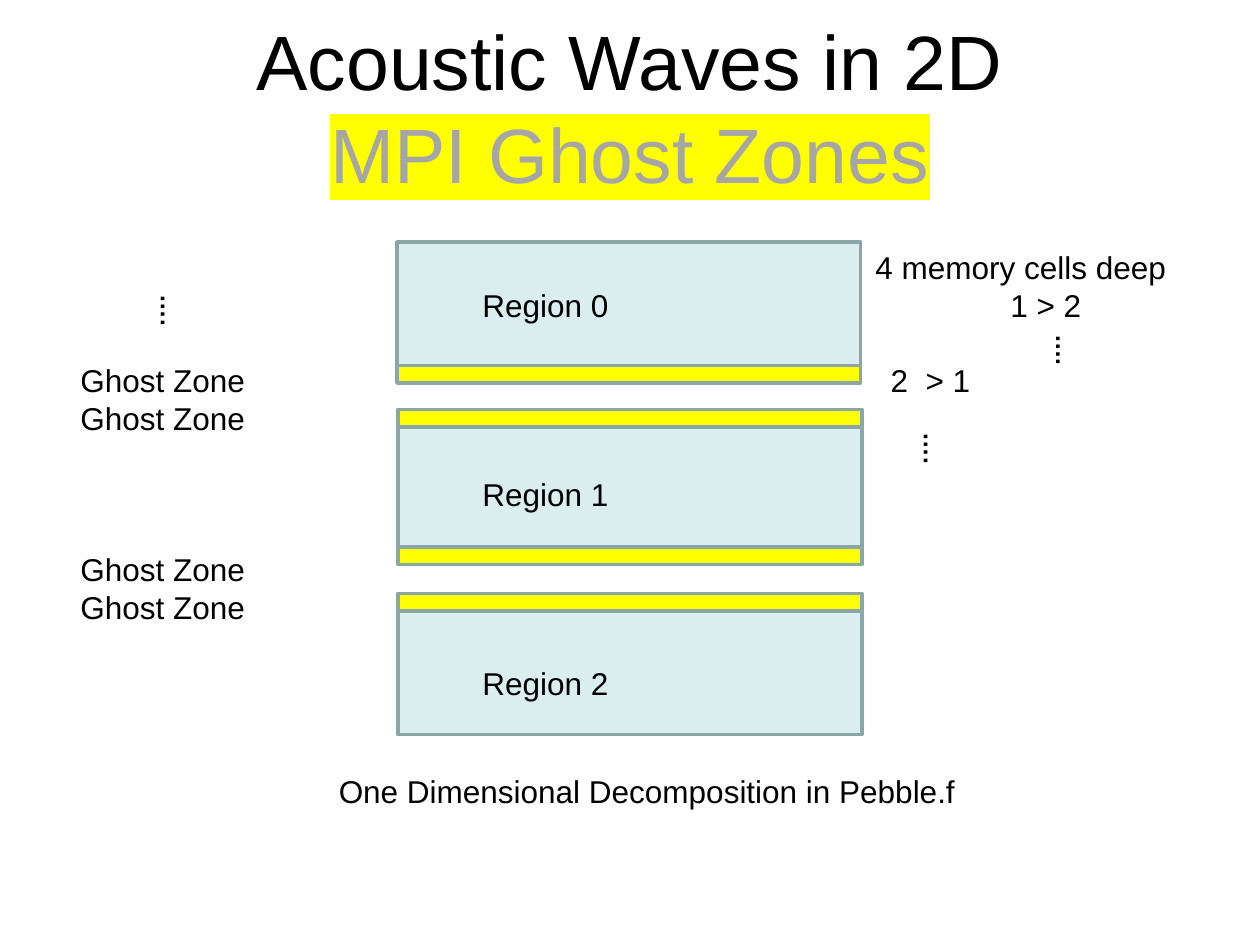
from typing import NamedTuple

from lxml.etree import SubElement
from pptx import Presentation
from pptx.dml.color import RGBColor
from pptx.enum.shapes import MSO_SHAPE
from pptx.enum.text import MSO_ANCHOR, PP_ALIGN
from pptx.oxml.ns import qn
from pptx.util import Inches, Pt

REGION_W, REGION_H, GHOST_H = 3.68, 0.98, 0.14
LABEL_TOP, LINE_PITCH = 1.92, 0.3


class Region(NamedTuple):
    left: float
    top: float
    ghost_tops: tuple


class Label(NamedTuple):
    text: str
    left: float
    line: int
    width: float = 1.9


class Dots(NamedTuple):
    left: float
    top: float
    width: float


REGIONS = [
    Region(3.15, 1.92, (2.9,)),
    Region(3.16, 3.36, (3.25, 4.34)),
    Region(3.16, 4.85, (4.71,)),
]
LABELS = [
    Label("4 memory cells deep", 6.85, 0, 2.7),
    Label("1 > 2", 7.92, 1),
    Label("2  > 1", 6.97, 3),
    *(Label("Ghost Zone", 0.54, line) for line in (3, 4, 8, 9)),
    *(Label(f"Region {i}", 3.73, 1 + 5 * i) for i in range(3)),
]
DOTS = [Dots(1.08, 2.34, 0.54), Dots(7.03, 3.54, 0.75), Dots(8.08, 2.76, 0.75)]


def rgb(value: str) -> RGBColor:
    """Turn a hex string into a colour."""
    return RGBColor.from_string(value)


def add_bar(s, left: float, top: float, height: float, fill: str) -> None:
    """Draw one outlined bar as wide as a region."""
    sp = s.shapes.add_shape(MSO_SHAPE.RECTANGLE, Inches(left), Inches(top),
                            Inches(REGION_W), Inches(height))
    sp.shadow.inherit = False
    sp.fill.solid()
    sp.fill.fore_color.rgb = rgb(fill)
    sp.line.color.rgb = rgb("8AA6A8")
    sp.line.width = Pt(2)


def add_run(p, text: str, size: float, color: str = "000000", bold: bool = False):
    """Add a formatted run to a paragraph."""
    r = p.add_run()
    r.text = text
    for name, value in {"name": "Arial", "size": Pt(size), "bold": bold}.items():
        setattr(r.font, name, value)
    r.font.color.rgb = rgb(color)
    return r


def add_box(s, left: float, top: float, width: float, height: float, wrap: bool = True):
    """Add an empty text box."""
    sp = s.shapes.add_textbox(Inches(left), Inches(top), Inches(width), Inches(height))
    sp.text_frame.word_wrap = wrap
    return sp


def highlight(r, color: str) -> None:
    """Put a highlight colour behind a run."""
    rPr = r.font._element
    mark = SubElement(rPr, qn("a:highlight"))
    SubElement(mark, qn("a:srgbClr"), val=color)
    rPr.find(qn("a:solidFill")).addnext(mark)


def add_title(s) -> None:
    """Add the centred two-line title."""
    tf = add_box(s, 0.5, 0.2, 9, 1.25).text_frame
    tf.vertical_anchor = MSO_ANCHOR.MIDDLE
    first, second = tf.paragraphs[0], tf.add_paragraph()
    for p, spacing in ((first, 1.05), (second, 1.0)):
        p.alignment = PP_ALIGN.CENTER
        p.line_spacing = spacing
    add_run(first, "Acoustic Waves in 2D", 44)
    highlight(add_run(second, "MPI Ghost Zones", 44, "A6A6A6"), "FFFF00")


def main() -> None:
    """Build and save the slide."""
    prs = Presentation()
    prs.slide_width, prs.slide_height = Inches(10), Inches(7.5)
    s = prs.slides.add_slide(prs.slide_layouts[6])
    for region in REGIONS:
        add_bar(s, region.left, region.top, REGION_H, "DAEDEF")
        for top in region.ghost_tops:
            add_bar(s, region.left, top, GHOST_H, "FFFF00")
    add_title(s)
    for label in LABELS:
        top = LABEL_TOP + LINE_PITCH * label.line
        sp = add_box(s, label.left, top, label.width, 0.4)
        add_run(sp.text_frame.paragraphs[0], label.text, 18)
    for dots in DOTS:
        sp = add_box(s, dots.left, dots.top, dots.width, 0.34)
        sp.rotation = 90
        add_run(sp.text_frame.paragraphs[0], "….", 14, bold=True)
    sp = add_box(s, 2.59, 6.08, 5.21, 0.4, wrap=False)
    add_run(sp.text_frame.paragraphs[0], "One Dimensional Decomposition in Pebble.f", 18)
    prs.save("out.pptx")


if __name__ == "__main__":
    main()
